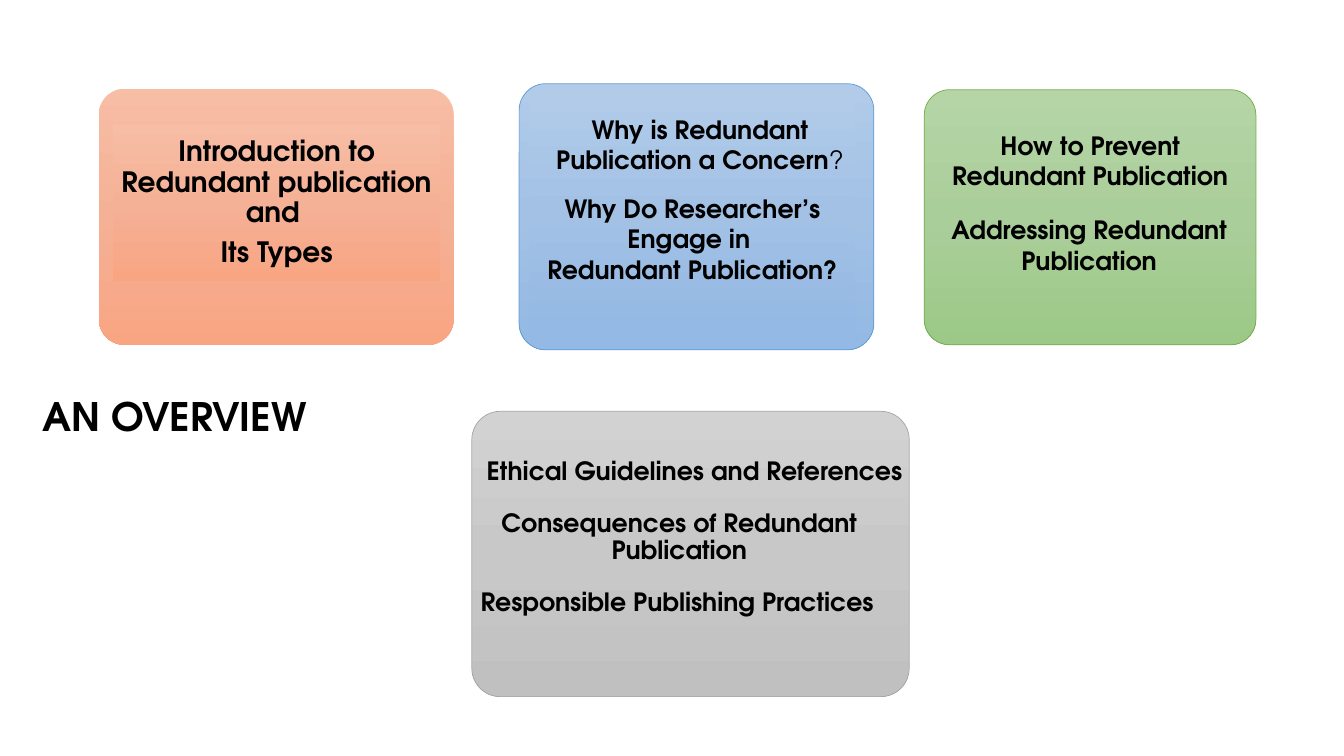
from copy import deepcopy
from dataclasses import dataclass

from pptx import Presentation
from pptx.dml.color import RGBColor
from pptx.enum.shapes import MSO_SHAPE
from pptx.enum.text import MSO_ANCHOR, MSO_AUTO_SIZE, PP_ALIGN
from pptx.util import Pt

ROUND, RECT = MSO_SHAPE.ROUNDED_RECTANGLE, MSO_SHAPE.RECTANGLE
LEFT, CENTER = PP_ALIGN.LEFT, PP_ALIGN.CENTER
TOP, MIDDLE = MSO_ANCHOR.TOP, MSO_ANCHOR.MIDDLE
FIXED = MSO_AUTO_SIZE.NONE


@dataclass(frozen=True)
class Theme:
    """Colours and type of the slide."""
    font: str = "TeX Gyre Adventor"
    ink: str = "000000"
    title: int = 28
    lead: int = 20
    body: int = 18
    orange: tuple = ("F7BDA5", "F5B196", "F8A582")
    blue: tuple = ("B1CBE9", "A3C1E5", "93B9E4")
    green: tuple = ("B5D5A7", "AACE9A", "9CC987")
    gray: tuple = ("D2D2D2", "C8C8C8", "C0C0C0")
    blue_edge: str = "5B9BD5"
    green_edge: str = "70AD47"
    gray_edge: str = "A5A5A5"


THEME = Theme()


def rgb(code):
    """Turn a hex code into a colour."""
    return RGBColor.from_string(code)


def shade(shape, colors):
    """Fill a shape with an even gradient from top to bottom."""
    fill = shape.fill
    fill.gradient()
    fill.gradient_angle = 270
    first = shape.element.spPr.xpath(".//a:gs")[0]
    first.addnext(deepcopy(first))
    for i, (stop, color) in enumerate(zip(fill.gradient_stops, colors)):
        stop.position = i / (len(colors) - 1)
        stop.color.rgb = rgb(color)


def panel(slide, kind, box, colors, edge=None):
    """Add a shaded panel, with a thin edge if one is given."""
    shape = slide.shapes.add_shape(kind, *map(Pt, box))
    shape.shadow.inherit = False
    shade(shape, colors)
    if kind == ROUND:
        shape.adjustments[0] = 0.1
    if edge:
        shape.line.color.rgb = rgb(edge)
        shape.line.width = Pt(0.5)
    else:
        shape.line.fill.background()
    return shape


def style(run, size, bold=True):
    """Set the type of a run."""
    font = run.font
    font.name, font.size, font.bold = THEME.font, Pt(size), bold
    font.color.rgb = rgb(THEME.ink)


def write(shape, text, size, align=CENTER, anchor=TOP, lines=1.0, after=0):
    """Put formatted text into a shape."""
    frame = shape.text_frame
    frame.text = text
    frame.word_wrap = True
    frame.auto_size = FIXED
    frame.vertical_anchor = anchor
    for para in frame.paragraphs:
        para.alignment = align
        para.line_spacing = lines
        para.space_after = Pt(after)
        for run in para.runs:
            style(run, size)
    return frame


def label(slide, box, text, **opts):
    """Add a text box in body type."""
    shape = slide.shapes.add_textbox(*map(Pt, box))
    return write(shape, text, THEME.body, **opts)


def intro(slide):
    """Add the orange panel and its text."""
    panel(slide, ROUND, (70.6, 63.4, 253.4, 182.9), THEME.orange)
    inner = panel(slide, RECT, (80.6, 89.3, 234, 111.6), THEME.orange)
    text = "Introduction to Redundant publication and \nIts Types"
    frame = write(inner, text, THEME.lead, anchor=MIDDLE, lines=0.9, after=7)
    frame.margin_left = frame.margin_right = Pt(5)
    frame.margin_top = frame.margin_bottom = Pt(5)


def main():
    """Build the slide and save it."""
    deck = Presentation()
    deck.slide_width, deck.slide_height = Pt(960), Pt(540)
    slide = deck.slides.add_slide(deck.slide_layouts[5])
    title = slide.shapes.title
    title.left, title.top = Pt(23), Pt(276.5)
    title.width, title.height = Pt(244.8), Pt(41)
    write(title, "AN OVERVIEW", THEME.title, align=LEFT)

    intro(slide)
    panel(slide, ROUND, (370.8, 59.8, 253.4, 190.1), THEME.blue, THEME.blue_edge)
    panel(slide, RECT, (378, 67.7, 232.6, 169.2), THEME.blue)
    panel(slide, ROUND, (660.2, 64.1, 236.9, 182.2), THEME.green, THEME.green_edge)
    panel(slide, ROUND, (337, 293.8, 312.5, 203.8), THEME.gray, THEME.gray_edge)

    why = label(slide, (375.8, 77.8, 248.4, 51),
                "Why is Redundant Publication a Concern")
    mark = why.paragraphs[0].add_run()
    mark.text = "?"
    style(mark, THEME.body, bold=False)
    label(slide, (372.2, 134.6, 244.8, 94.3),
          "Why Do Researcher’s Engage in \nRedundant Publication?")
    label(slide, (632.9, 149.8, 290.2, 51), "Addressing Redundant Publication")
    label(slide, (663.1, 89.3, 231.1, 51), "How to Prevent Redundant Publication")
    label(slide, (340.6, 321.8, 324, 29), "Ethical Guidelines and References",
          align=LEFT)
    label(slide, (321.1, 361.4, 328.3, 47),
          "Consequences of Redundant Publication", lines=0.9, after=6)
    label(slide, (336.2, 415.4, 331.9, 51), "Responsible Publishing Practices",
          align=LEFT)
    deck.save("out.pptx")


if __name__ == "__main__":
    main()
